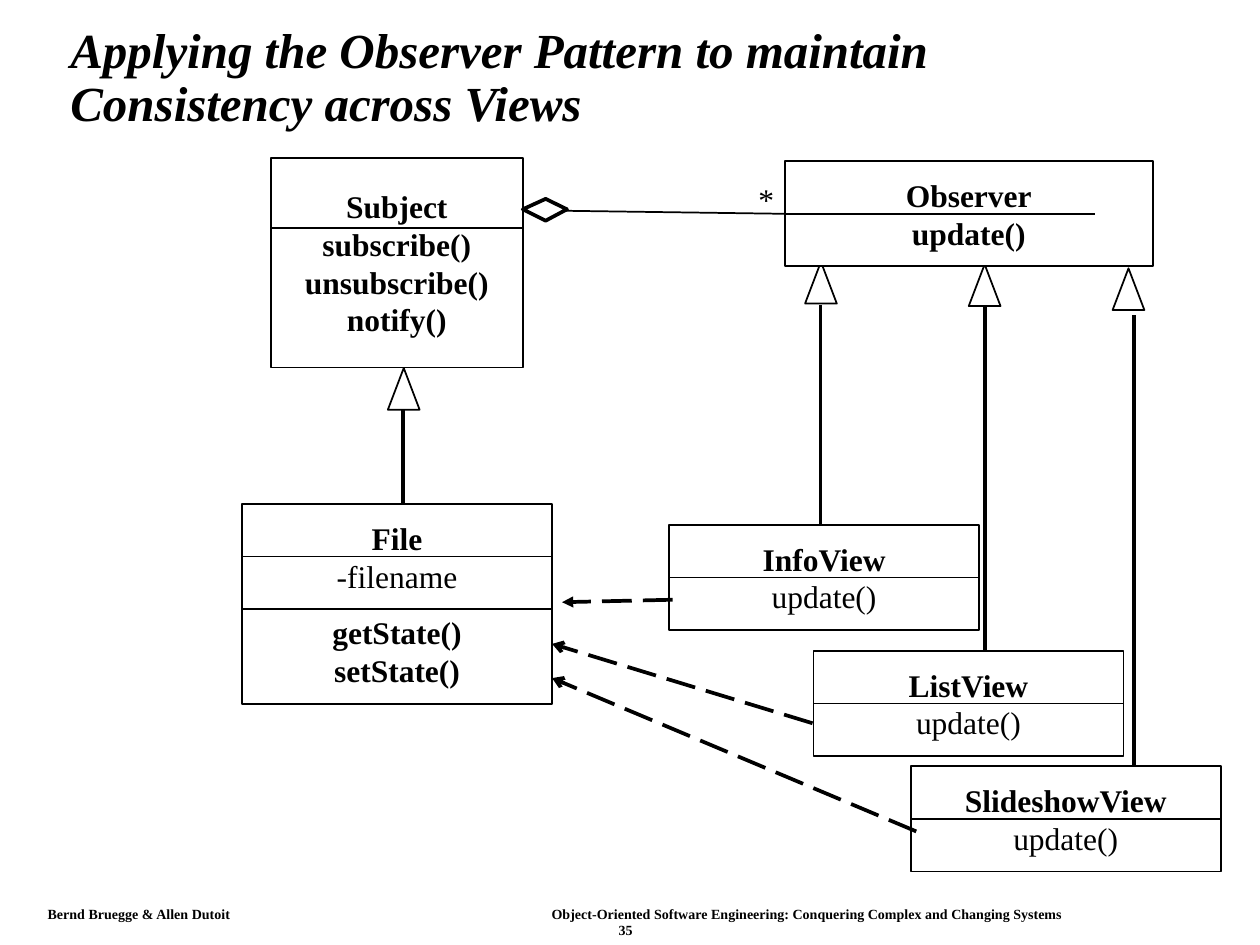
from lxml.etree import SubElement
from pptx import Presentation
from pptx.dml.color import RGBColor
from pptx.enum.dml import MSO_LINE as Dash
from pptx.enum.shapes import MSO_CONNECTOR as Link, MSO_SHAPE as Shape
from pptx.enum.text import MSO_ANCHOR as Anchor, PP_ALIGN as Align
from pptx.oxml.ns import qn
from pptx.util import Cm, Pt

BLACK, WHITE = "000000", "FFFFFF"
THIN, DASHED, THICK = 1, 2.13, 2.25
BOX_W, BOX_H, RULE_Y = 6.25, 2.12, 1.06
TRI_W, TRI_H = 0.64, 0.84
BOLD, PLAIN = {"size": Pt(18), "bold": True}, {"size": Pt(18), "bold": False}
TITLE = {"size": Pt(28), "bold": True, "italic": True}
SMALL = {"size": Pt(8), "bold": True}

title = "Applying the Observer Pattern to maintain Consistency across Views"
footer = [
    ("Bernd Bruegge & Allen Dutoit", 0.76, 18.16, 4.2),
    ("Object-Oriented Software Engineering: Conquering Complex and Changing Systems",
     10.92, 18.16, 11),
    ("35", 12.27, 18.48, 1),
]
# name: left, top, width, height, rule offset, rule width, lines
classes = {
    "InfoView": (13.49, 10.58, BOX_W, BOX_H, RULE_Y, BOX_W,
                 [("InfoView", BOLD), ("update()", PLAIN)]),
    "Observer": (15.82, 3.25, 7.42, BOX_H, RULE_Y, BOX_W,
                 [("Observer", BOLD), ("update()", BOLD)]),
    "Subject": (5.46, 3.18, 5.08, 4.23, 1.41, 5.08,
                [("Subject", BOLD), ("subscribe()", BOLD),
                 ("unsubscribe()", BOLD), ("notify()", BOLD)]),
    "File operations": (4.88, 12.07, BOX_W, BOX_H, None, BOX_W,
                        [("getState()", BOLD), ("setState()", BOLD)]),
    "File": (4.88, 10.16, BOX_W, BOX_H, RULE_Y, BOX_W,
             [("File", BOLD), ("-filename", PLAIN)]),
    "ListView": (16.4, 13.12, BOX_W, BOX_H, RULE_Y, BOX_W,
                 [("ListView", BOLD), ("update()", PLAIN)]),
    "SlideshowView": (18.36, 15.45, BOX_W, BOX_H, RULE_Y, BOX_W,
                      [("SlideshowView", BOLD), ("update()", PLAIN)]),
}
inheritance = [
    (16.23, 5.28, 16.54, 6.15, 10.69),
    (7.82, 7.42, 8.13, 8.05, 10.69),
    (19.53, 5.33, 19.86, 6.15, 13.87),
    (22.43, 5.41, 22.86, 6.35, 15.57),
]
dependencies = [
    (13.56, 12.09, 11.33, 12.14, "triangle"),
    (16.38, 14.58, 11.13, 12.98, "arrow"),
    (18.47, 16.76, 11.13, 13.67, "arrow"),
]
diamond = [(11, 4.01), (10.54, 4.22), (11, 4.45), (11.43, 4.22)]


def color(value):
    return RGBColor.from_string(value)


def style(sp, width):
    sp.shadow.inherit = False
    sp.fill.solid()
    sp.fill.fore_color.rgb = color(WHITE)
    sp.line.color.rgb = color(BLACK)
    sp.line.width = Pt(width)
    return sp


def write(sp, lines, align=Align.CENTER, spacing=None, **frame):
    tf = sp.text_frame
    values = {"word_wrap": False, "vertical_anchor": Anchor.MIDDLE, **frame}
    for name, value in values.items():
        setattr(tf, name, value)
    for i, (text, fmt) in enumerate(lines):
        p = tf.add_paragraph() if i else tf.paragraphs[0]
        p.alignment, p.line_spacing = align, spacing
        r = p.add_run()
        r.text = text
        r.font.color.rgb = color(BLACK)
        for name, value in {"name": "Times New Roman", **fmt}.items():
            setattr(r.font, name, value)


def text_box(s, x, y, w, h, lines, **options):
    write(s.shapes.add_textbox(Cm(x), Cm(y), Cm(w), Cm(h)), lines, **options)


def line(s, x1, y1, x2, y2, width, head=None):
    c = s.shapes.add_connector(Link.STRAIGHT, Cm(x1), Cm(y1), Cm(x2), Cm(y2))
    c.line.color.rgb = color(BLACK)
    c.line.width = Pt(width)
    if head:
        c.line.dash_style = Dash.LONG_DASH
        SubElement(c.line._get_or_add_ln(), qn("a:tailEnd"), type=head)
    SubElement(c._element.spPr, qn("a:effectLst"))
    return c


def class_box(s, x, y, w, h, rule_y, rule_w, lines):
    sp = s.shapes.add_shape(Shape.RECTANGLE, Cm(x), Cm(y), Cm(w), Cm(h))
    write(style(sp, THIN), lines)
    if rule_y:
        line(s, x, y + rule_y, x + rule_w, y + rule_y, THIN)
    return sp


def main():
    prs = Presentation()
    prs.slide_width, prs.slide_height = Cm(25.4), Cm(19.05)
    s = prs.slides.add_slide(prs.slide_layouts[6])

    text_box(s, 1.17, 0.61, 22.66, 1.96, [(title, TITLE)],
             align=Align.LEFT, spacing=0.9, word_wrap=True)
    for left, top, x, y1, y2 in inheritance:
        line(s, x, y1, x, y2, THICK)
        style(s.shapes.add_shape(Shape.FLOWCHART_EXTRACT, Cm(left), Cm(top),
                                 Cm(TRI_W), Cm(TRI_H)), THIN)
    boxes = {name: class_box(s, *spec) for name, spec in classes.items()}

    association = line(s, 10.74, 4.24, 15.82, 4.31, THIN)
    association.end_connect(boxes["Observer"], 1)
    text_box(s, 15.04, 3.51, 0.81, 1.02, [("*", PLAIN)])
    for x1, y1, x2, y2, head in dependencies:
        line(s, x1, y1, x2, y2, DASHED, head)

    points = [(Cm(x), Cm(y)) for x, y in diamond]
    outline = s.shapes.build_freeform(*points[0])
    outline.add_line_segments(points[1:], close=True)
    style(outline.convert_to_shape(), DASHED)

    for text, x, y, w in footer:
        text_box(s, x, y, w, 0.53, [(text, SMALL)], align=Align.LEFT,
                 word_wrap=True, vertical_anchor=Anchor.TOP,
                 margin_left=Cm(0.2), margin_right=Cm(0.2),
                 margin_top=Cm(0.1), margin_bottom=Cm(0.1))
    prs.save("out.pptx")


if __name__ == "__main__":
    main()
